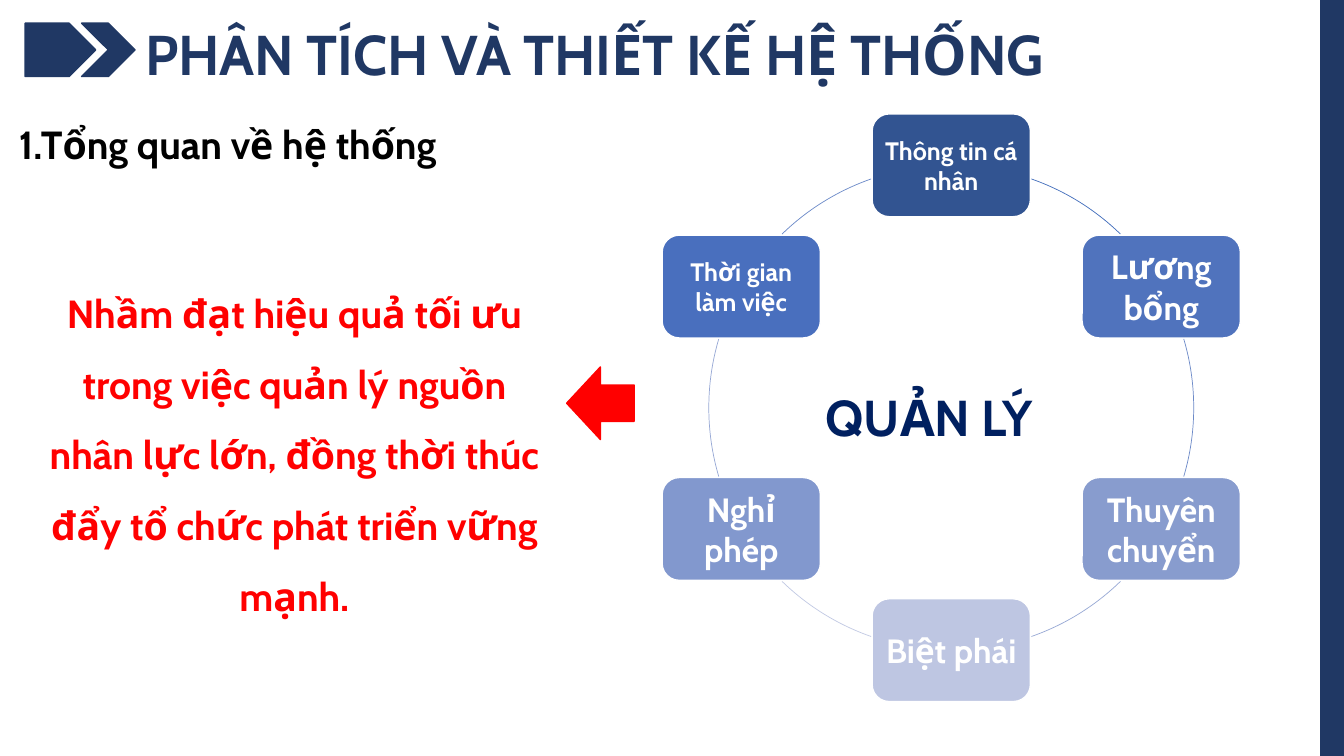
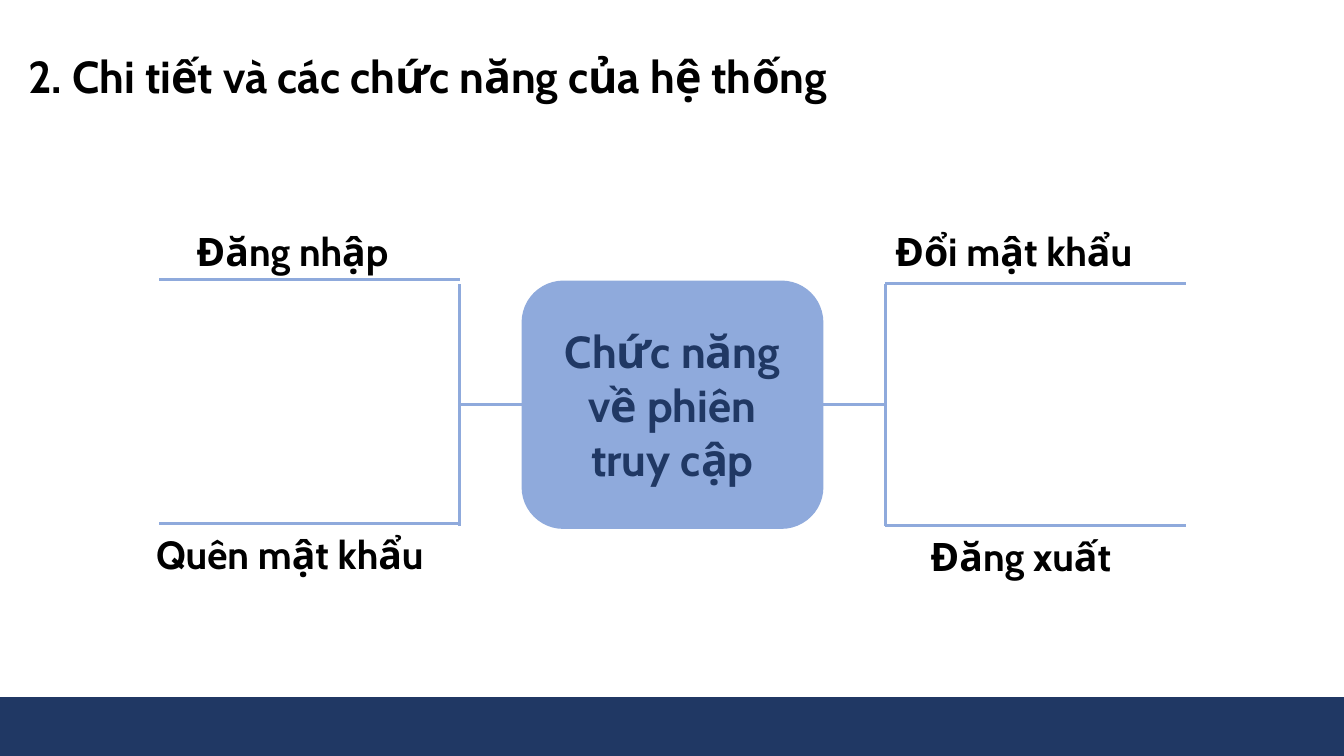
import math

from lxml import etree
from pptx import Presentation
from pptx.dml.color import RGBColor
from pptx.enum.shapes import MSO_CONNECTOR, MSO_SHAPE
from pptx.enum.text import MSO_ANCHOR, PP_ALIGN
from pptx.oxml.ns import qn
from pptx.util import Inches, Pt

FONT = "Cabin"
SLIDE_W, SLIDE_H = 13.33, 7.5

NAVY = RGBColor(0x20, 0x38, 0x64)
DEEP_BLUE = RGBColor(0x00, 0x20, 0x60)
SOFT_BLUE = RGBColor(0x8F, 0xAA, 0xDC)
RED = RGBColor(0xFF, 0x00, 0x00)
BLACK = RGBColor(0x00, 0x00, 0x00)
WHITE = RGBColor(0xFF, 0xFF, 0xFF)

LEFT, CENTER, JUSTIFY = PP_ALIGN.LEFT, PP_ALIGN.CENTER, PP_ALIGN.JUSTIFY
MIDDLE = MSO_ANCHOR.MIDDLE
RECT, ROUND_RECT, ARC = MSO_SHAPE.RECTANGLE, MSO_SHAPE.ROUNDED_RECTANGLE, MSO_SHAPE.ARC
PENTAGON, CHEVRON = MSO_SHAPE.PENTAGON, MSO_SHAPE.CHEVRON
LEFT_ARROW = MSO_SHAPE.LEFT_ARROW
STRAIGHT = MSO_CONNECTOR.STRAIGHT
SITE_LEFT, SITE_RIGHT = 1, 3

NODE_W, NODE_H = 1.57, 1.02
# Clockwise from the top: label, size, node fill, colour of the arc that follows
MANAGED_ITEMS = [
    ("Thông tin cá nhân", 18, RGBColor(0x32, 0x54, 0x91), RGBColor(0x41, 0x6D, 0xBB)),
    ("Lương bổng", 24, RGBColor(0x50, 0x73, 0xBD), RGBColor(0x6D, 0x8A, 0xC8)),
    ("Thuyên chuyển", 24, RGBColor(0x88, 0x9C, 0xCE), RGBColor(0x98, 0xA9, 0xD5)),
    ("Biệt phái", 24, RGBColor(0xBE, 0xC6, 0xE2), RGBColor(0xC2, 0xCA, 0xE4)),
    ("Nghỉ phép", 24, RGBColor(0x82, 0x98, 0xCE), RGBColor(0x97, 0xA8, 0xD5)),
    ("Thời gian làm việc", 18, RGBColor(0x49, 0x6F, 0xBE), RGBColor(0x6B, 0x89, 0xC8)),
]

STEM_LENGTH, ARM_LENGTH, HALF_SPINE = 0.62, 2.98, 1.2
LABEL_H = 0.57
# Upper then lower arm: label, its indent on the arm, its width, lift of the arm
LEFT_ARMS = [("Đăng nhập", 0.27, 2.44, 0.04), ("Quên mật khẩu", -0.13, 3.25, 0.02)]
RIGHT_ARMS = [("Đổi mật khẩu", 0, 2.92, 0), ("Đăng xuất", 0.35, 2.27, 0)]


def inches(*lengths):
    return [Inches(length) for length in lengths]


def write(frame, text, size, color, align=LEFT, spacing=None):
    frame.word_wrap = True
    paragraph = frame.paragraphs[0]
    paragraph.text = text
    paragraph.alignment = align
    if spacing:
        paragraph.line_spacing = spacing
    font = paragraph.font
    font.name, font.size, font.bold = FONT, Pt(size), True
    font.color.rgb = color


def add_text(slide, box, text, size, color, align=LEFT, spacing=None):
    frame = slide.shapes.add_textbox(*inches(*box)).text_frame
    write(frame, text, size, color, align, spacing)


def add_block(slide, kind, box, fill, outline=None):
    """Filled shape, outlined in its own colour unless another is given."""
    block = slide.shapes.add_shape(kind, *inches(*box))
    block.shadow.inherit = False
    block.fill.solid()
    block.fill.fore_color.rgb = fill
    block.line.color.rgb = outline or fill
    block.line.width = Pt(1)
    return block


def add_line(slide, start, end):
    line = slide.shapes.add_connector(STRAIGHT, *inches(*start, *end))
    line.line.color.rgb = SOFT_BLUE
    line.line.width = Pt(2.25)
    etree.SubElement(line._element.spPr, qn("a:effectLst"))
    return line


def add_heading(slide, box, text, size):
    add_text(slide, box, text, size, BLACK, JUSTIFY, 1.5)


def add_title_band(slide, left, top):
    height = 0.53
    add_text(slide, (left + 1.09, top - 0.09, 10.68, 0.77),
             "PHÂN TÍCH VÀ THIẾT KẾ HỆ THỐNG", 40, NAVY)
    add_block(slide, CHEVRON, (left + 0.56, top, height, height), NAVY)
    add_block(slide, PENTAGON, (left, top, 0.7, height), NAVY)


def add_node(slide, center_x, center_y, label, size, fill):
    box = (center_x - NODE_W / 2, center_y - NODE_H / 2, NODE_W, NODE_H)
    frame = add_block(slide, ROUND_RECT, box, fill, WHITE).text_frame
    frame.margin_left = frame.margin_right = Inches(0.05)
    frame.margin_top = frame.margin_bottom = Inches(0.05)
    frame.vertical_anchor = MIDDLE
    write(frame, label, size, WHITE, CENTER)


def add_arc(slide, box, angles, color):
    arc = slide.shapes.add_shape(ARC, *inches(*box))
    arc.shadow.inherit = False
    arc.fill.background()
    arc.line.color.rgb = color
    arc.line.width = Pt(0.5)
    for end, angle in enumerate(angles):
        arc.adjustments[end] = angle % 360 * 0.6  # 60000 units a degree, over 100000


def free_arcs(radius):
    """Start and end degrees of the six ring parts that no node covers."""
    gap = 0.01
    beside_top = math.degrees(math.acos((NODE_W / 2 + gap) / radius))
    above_side = math.degrees(math.asin(0.5 + (NODE_H / 2 + gap) / radius))
    below_side = math.degrees(math.asin(0.5 - (NODE_H / 2 + gap) / radius))
    right_half = [(-beside_top, -above_side), (-below_side, below_side),
                  (above_side, beside_top)]
    return [(start + turn, end + turn) for turn in (0, 180) for start, end in right_half]


def add_cycle(slide, left, top, diameter):
    """Ring of nodes joined by arcs, with its theme in the middle."""
    radius = diameter / 2
    step = 2 * math.pi / len(MANAGED_ITEMS)
    for i, (item, angles) in enumerate(zip(MANAGED_ITEMS, free_arcs(radius))):
        label, size, fill, arc_color = item
        add_node(slide, left + radius * (1 + math.sin(i * step)),
                 top + radius * (1 - math.cos(i * step)), label, size, fill)
        add_arc(slide, (left, top, diameter, diameter), angles, arc_color)
    add_text(slide, (left + 1.06, top + 1.84, 2.5, 0.89),
             "QUẢN LÝ", 36, DEEP_BLUE, JUSTIFY, 1.5)


def add_branch(slide, hub, site, hub_edge, middle_y, direction, arms):
    """Stem, spine and two labelled arms; direction is -1 to the left, 1 to the right."""
    spine_x = hub_edge + direction * STEM_LENGTH
    arm_end = spine_x + direction * ARM_LENGTH
    stem = add_line(slide, (hub_edge, middle_y), (spine_x, middle_y))
    stem.begin_connect(hub, site)
    for side, (label, indent, label_w, lift) in zip((-1, 1), arms):
        spine_end = middle_y + side * HALF_SPINE
        arm_y = spine_end - lift
        add_line(slide, (spine_x, middle_y), (spine_x, spine_end))
        add_line(slide, (spine_x, arm_y), (arm_end, arm_y))
        label_top = spine_end - LABEL_H - 0.04 if side < 0 else arm_y + 0.02
        add_text(slide, (min(spine_x, arm_end) + indent, label_top, label_w, LABEL_H),
                 label, 28, BLACK)


def add_session_map(slide, left, top, width, height):
    """Central hub with a branch to either side."""
    hub = add_block(slide, ROUND_RECT, (left, top, width, height), SOFT_BLUE)
    hub.text_frame.vertical_anchor = MIDDLE
    write(hub.text_frame, "Chức năng về phiên truy cập", 32, NAVY, CENTER)
    middle_y = top + height / 2
    add_branch(slide, hub, SITE_RIGHT, left + width, middle_y, 1, RIGHT_ARMS)
    add_branch(slide, hub, SITE_LEFT, left, middle_y, -1, LEFT_ARMS)


def add_goal(slide, left, top):
    """Goal statement, with an arrow pointing to it from the right."""
    add_text(slide, (left, top, 5.3, 3.54),
             "Nhầm đạt hiệu quả tối ưu trong việc quản lý nguồn nhân lực lớn, "
             "đồng thời thúc đẩy tổ chức phát triển vững mạnh.",
             28, RED, CENTER, 1.5)
    add_block(slide, LEFT_ARROW, (left + 5.35, top + 1.05, 0.67, 0.72), RED)


def build_overview(slide):
    side_band_w = 0.23
    add_title_band(slide, 0.25, 0.23)
    add_block(slide, RECT, (SLIDE_W - side_band_w, 0, side_band_w, SLIDE_H), NAVY)
    add_heading(slide, (0.09, 0.91, 5.86, 0.71), "1.Tổng quan về hệ thống", 28)
    add_cycle(slide, 7.03, 1.64, 4.81)
    add_goal(slide, 0.27, 2.59)


def build_functions(slide):
    footer_h = 0.58
    add_heading(slide, (0.18, 0.17, 12.43, 0.8),
                "2. Chi tiết và các chức năng của hệ thống", 32)
    add_block(slide, RECT, (0, SLIDE_H - footer_h, SLIDE_W, footer_h), NAVY)
    add_session_map(slide, 5.18, 2.79, 2.98, 2.45)


def main():
    deck = Presentation()
    deck.slide_width, deck.slide_height = inches(SLIDE_W, SLIDE_H)
    blank = deck.slide_layouts[6]
    for build in (build_overview, build_functions):
        build(deck.slides.add_slide(blank))
    deck.save("out.pptx")


if __name__ == "__main__":
    main()
